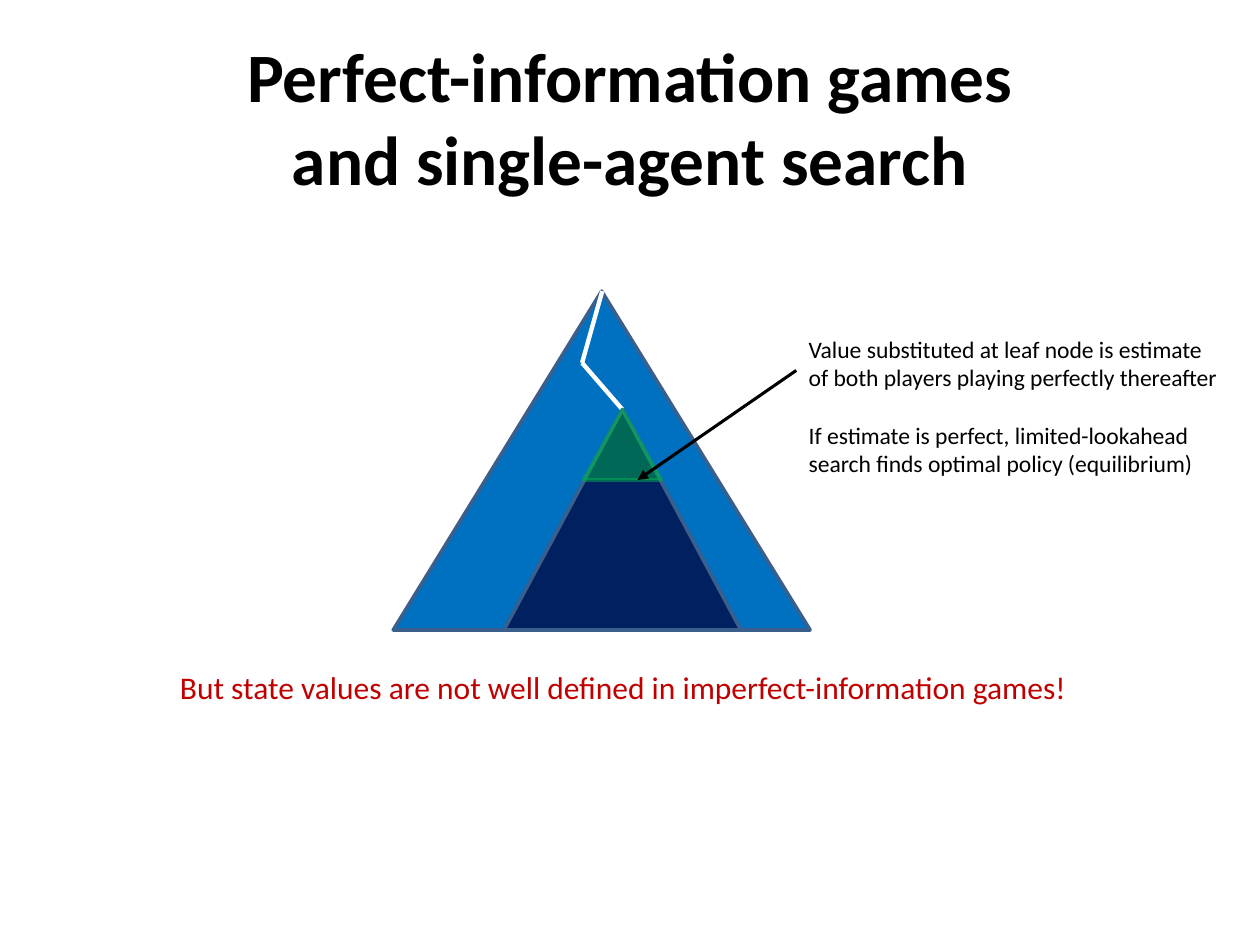
from lxml import etree
from pptx import Presentation
from pptx import util as u
from pptx.dml.color import RGBColor
from pptx.enum import shapes, text
from pptx.oxml.ns import qn

COLORS = {
    "black": "000000",
    "white": "FFFFFF",
    "red": "C00000",
    "outline": "3A5F8C",
    "full_game": "0070C0",
    "subgame": "002060",
    "lookahead": "00B050",
}


class SlideBuilder:
    font = "Calibri"

    def __init__(self, slide):
        self.slide = slide

    def color(self, name):
        return RGBColor.from_string(COLORS[name])

    def text(self, box, paragraphs, size, color="black", bold=False, wrap=True,
             align=text.PP_ALIGN.LEFT, anchor=text.MSO_ANCHOR.TOP, gap=0):
        shape = self.slide.shapes.add_textbox(*map(u.Inches, box))
        frame = shape.text_frame
        frame.text = "\n".join(paragraphs)
        frame.word_wrap = wrap
        frame.vertical_anchor = anchor
        for index, paragraph in enumerate(frame.paragraphs):
            paragraph.alignment = align
            if index:
                paragraph.space_before = u.Pt(gap)
            for run in paragraph.runs:
                run.font.name = self.font
                run.font.size = u.Pt(size)
                run.font.bold = bold
                run.font.color.rgb = self.color(color)

    def triangle(self, box, fill, line="outline", opacity=None):
        shape = self.slide.shapes.add_shape(
            shapes.MSO_SHAPE.ISOSCELES_TRIANGLE, *map(u.Inches, box))
        shape.shadow.inherit = False
        shape.fill.solid()
        shape.fill.fore_color.rgb = self.color(fill)
        shape.line.color.rgb = self.color(line)
        shape.line.width = u.Pt(2)
        if opacity is not None:
            for color in shape._element.spPr.iter(qn("a:srgbClr")):
                etree.SubElement(color, qn("a:alpha"), val=str(opacity * 1000))

    def line(self, start, end, color, width, arrow=False):
        connector = self.slide.shapes.add_connector(
            shapes.MSO_CONNECTOR.STRAIGHT, *map(u.Inches, start + end))
        connector.line.color.rgb = self.color(color)
        connector.line.width = u.Pt(width)
        if arrow:
            etree.SubElement(connector.line._get_or_add_ln(), qn("a:tailEnd"),
                             type="triangle")
        etree.SubElement(connector._element.spPr, qn("a:effectLst"))


def main():
    presentation = Presentation()
    presentation.slide_width = u.Inches(10)
    presentation.slide_height = u.Inches(7.5)
    builder = SlideBuilder(
        presentation.slides.add_slide(presentation.slide_layouts[6]))

    builder.text((0.5, 0.3, 9, 1.25),
                 ["Perfect-information games\vand single-agent search"],
                 39.6, bold=True, align=text.PP_ALIGN.CENTER,
                 anchor=text.MSO_ANCHOR.MIDDLE)

    builder.triangle((3.12, 2.31, 3.31, 2.69), "full_game")
    play_path = [(4.78, 2.31), (4.62, 2.88), (4.94, 3.25)]
    for start, end in zip(play_path, play_path[1:]):
        builder.line(start, end, "white", 2.5)
    builder.triangle((4, 3.25, 1.88, 1.75), "subgame")
    builder.triangle((4.63, 3.25, 0.62, 0.56), "lookahead", "lookahead", 50)

    builder.text((6.32, 2.61, 3.49, 1.24), [
        "Value substituted at leaf node is estimate of both players "
        "playing perfectly thereafter",
        "If estimate is perfect, limited-lookahead search finds optimal "
        "policy (equilibrium)",
    ], 13.5, gap=16.5)
    builder.line((6.32, 2.94), (5.06, 3.81), "black", 1.75, arrow=True)
    builder.text((1.33, 5.25, 7.33, 0.4), [
        "But state values are not well defined in imperfect-information games!",
    ], 18, color="red", wrap=False)

    presentation.save("out.pptx")


if __name__ == "__main__":
    main()
